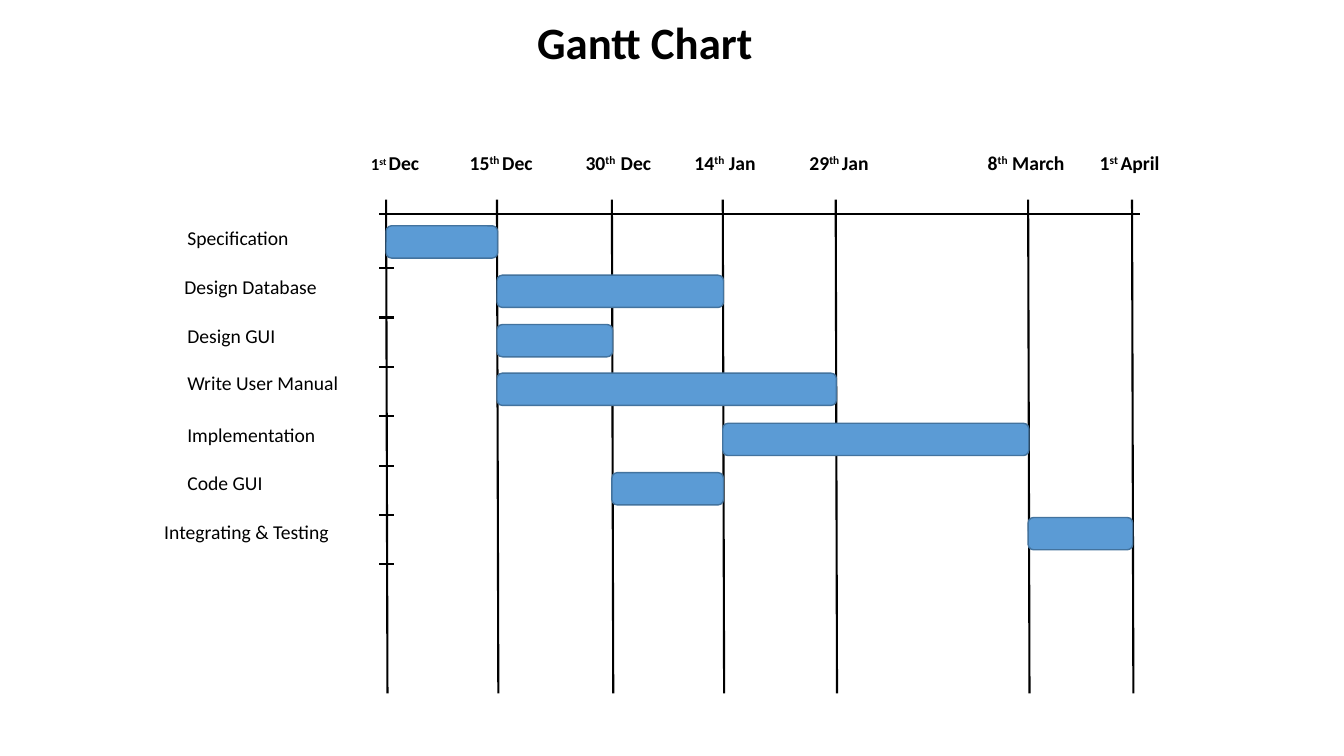
"""Build the Gantt chart slide."""
from dataclasses import dataclass

from lxml.etree import SubElement
from pptx import Presentation
from pptx.dml.color import RGBColor
from pptx.enum.shapes import MSO_CONNECTOR, MSO_SHAPE
from pptx.enum.text import MSO_AUTO_SIZE
from pptx.oxml.ns import qn
from pptx.util import Inches, Pt


@dataclass(frozen=True)
class Theme:
    font: str = "Calibri"
    ink: RGBColor = RGBColor(0, 0, 0)
    fill: RGBColor = RGBColor(0x5B, 0x9B, 0xD5)
    edge: RGBColor = RGBColor(0x43, 0x73, 0x9E)
    title: int = 32
    body: int = 14
    small: int = 12
    rule: float = 1.5
    thin: float = 1


def apply(item, form):
    for key, value in form.items():
        setattr(item, key, value)


class Chart:
    def __init__(self, deck, theme):
        self.deck = deck
        self.theme = theme
        self.slide = deck.slides.add_slide(deck.slide_layouts[6])

    def place(self, *shares):
        sides = (self.deck.slide_width, self.deck.slide_height) * 2
        return [round(side * share / 100) for side, share in zip(sides, shares)]

    def text(self, box, runs, bold=False, wrap=True):
        frame = self.slide.shapes.add_textbox(*self.place(*box)).text_frame
        apply(frame, {"word_wrap": wrap, "auto_size": MSO_AUTO_SIZE.SHAPE_TO_FIT_TEXT})
        for words, size, base in runs:
            run = frame.paragraphs[0].add_run()
            run.text = words
            apply(run.font, {"name": self.theme.font, "size": Pt(size), "bold": bold})
            run.font.color.rgb = self.theme.ink
            if base:
                run._r.get_or_add_rPr().set("baseline", str(base * 1000))

    def line(self, *ends):
        rule = self.slide.shapes.add_connector(MSO_CONNECTOR.STRAIGHT, *self.place(*ends))
        rule.line.color.rgb = self.theme.ink
        rule.line.width = Pt(self.theme.rule)
        SubElement(rule._element.spPr, qn("a:effectLst"))

    def bar(self, *box):
        bar = self.slide.shapes.add_shape(MSO_SHAPE.ROUNDED_RECTANGLE, *self.place(*box))
        bar.shadow.inherit = False
        bar.fill.solid()
        bar.fill.fore_color.rgb = self.theme.fill
        bar.line.color.rgb = self.theme.edge
        bar.line.width = Pt(self.theme.thin)


DATES = [
    ("1", "st ", "Dec", 28.73, 26.85, 5.93),
    ("15", "th ", "Dec", 36.98, 34.2, 6.53),
    ("30", "th  ", "Dec", 45.53, 42.83, 6.83),
    ("14", "th", " Jan", 53.78, 50.93, 6.23),
    ("29", "th ", "Jan", 62.18, 59.48, 6.23),
    ("8", "th", " March", 76.5, 72.75, 7.35),
    ("1", "st ", "April", 84.23, 81.08, 6.3),
]
TASKS = [
    ("Specification", 0, 1, 13.2, 0, 0),
    ("Design Database", 1, 3, 12.98, 0, 0),
    ("Design GUI", 1, 2, 13.2, -0.1, 0),
    ("Write User Manual", 1, 4, 13.2, -0.4, -0.1),
    ("Implementation", 3, 5, 13.2, 0, 0),
    ("Code GUI", 2, 3, 13.2, -0.25, 0),
    ("Integrating & Testing", 5, 6, 11.48, -0.25, -0.6),
]
ROW = 6.53


def main():
    deck = Presentation()
    apply(deck, {"slide_width": Inches(13.33), "slide_height": Inches(7.5)})
    theme = Theme()
    chart = Chart(deck, theme)
    chart.text((39.23, 1.33, 24.98, 8.8), [("Gantt Chart", theme.title, 0)], bold=True)
    chart.line(28.2, 28.27, 84.83, 28.27)
    for order, (day, suffix, month, x, left, width) in enumerate(DATES):
        chart.line(x, 26.4, x + 0.1, 91.73)
        size = theme.body if order else theme.small
        runs = [(day, size, 0), (suffix, size, 30), (month, theme.body, 0)]
        chart.text((left, 19.33, width, 4.53), runs, bold=True, wrap=order == 0)
    cols = [date[3] for date in DATES]
    for order, (name, start, end, left, lift, drop) in enumerate(TASKS):
        y = order * ROW
        chart.line(28.2, 35.47 + y, 29.33, 35.47 + y)
        chart.text((left, 29.2 + y + lift, 26.48 - left, 4.53), [(name, theme.body, 0)])
        chart.bar(cols[start], 29.87 + y + drop, cols[end] - cols[start] + 0.05, 4.27)
    deck.save("out.pptx")


if __name__ == "__main__":
    main()
